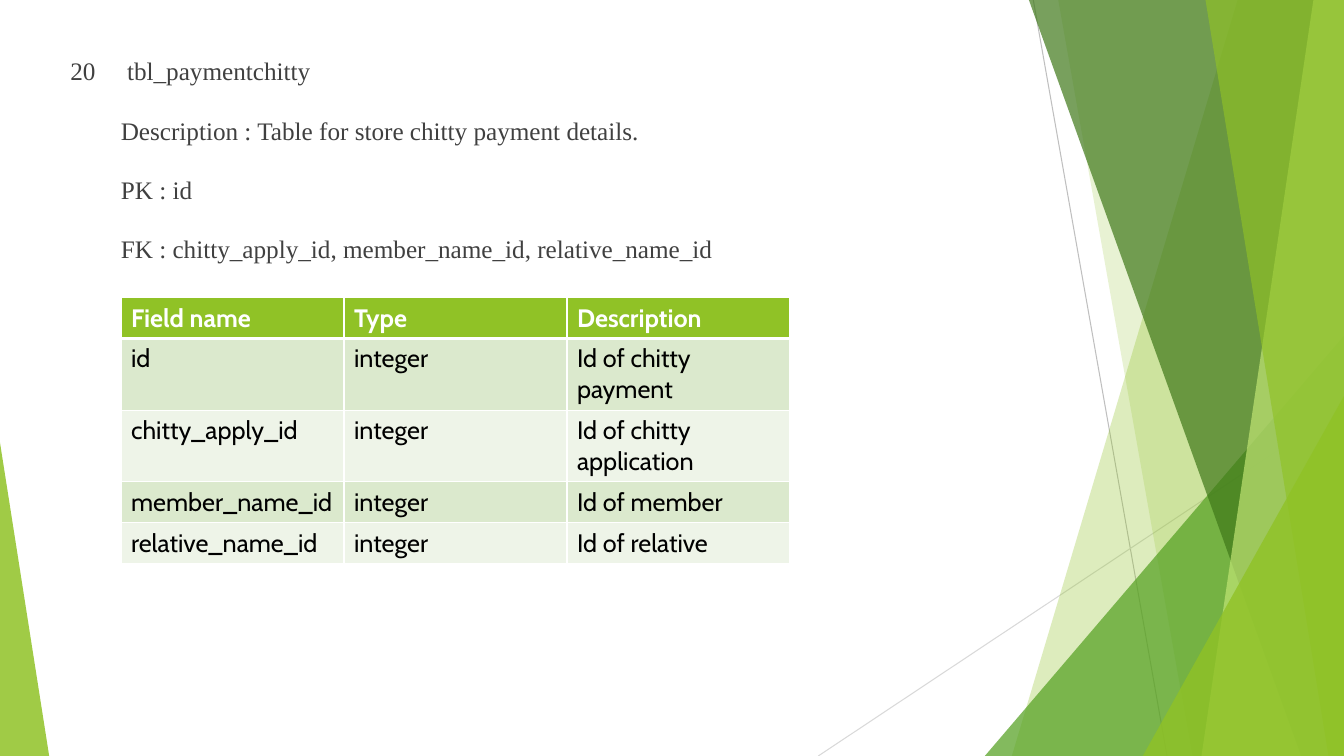
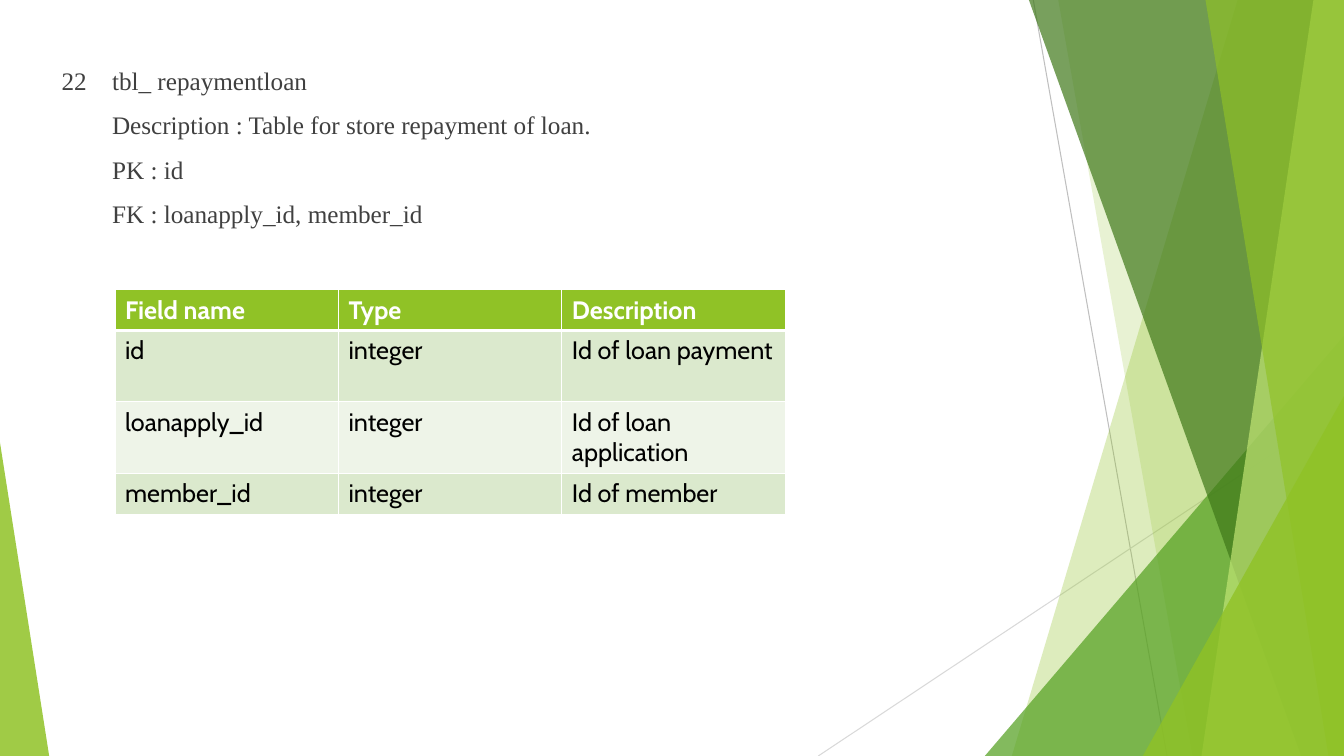
from dataclasses import dataclass

from lxml.etree import SubElement
from pptx import Presentation
from pptx.dml.color import RGBColor
from pptx.enum.shapes import MSO_CONNECTOR, MSO_SHAPE
from pptx.enum.text import MSO_AUTO_SIZE
from pptx.oxml.ns import qn
from pptx.util import Cm, Pt

WHITE = RGBColor(0xFF, 0xFF, 0xFF)
BLACK = RGBColor(0x00, 0x00, 0x00)
TEXT_GREY = RGBColor(0x40, 0x40, 0x40)
LINE_GREY = RGBColor(0xBF, 0xBF, 0xBF)
LIGHT_GREY = RGBColor(0xD9, 0xD9, 0xD9)
LIME = RGBColor(0x90, 0xC2, 0x26)
PALE_LIME = RGBColor(0xC0, 0xE4, 0x74)
GREEN = RGBColor(0x54, 0xA0, 0x21)
DARK_GREEN = RGBColor(0x3F, 0x78, 0x19)
ROW_FILLS = (RGBColor(0xDB, 0xE9, 0xCD), RGBColor(0xEE, 0xF4, 0xE8))

BODY_FONT, TABLE_FONT = "Times New Roman", "Cabin"
FONT_SIZE = Pt(18)
SLIDE_W, SLIDE_H = 33.87, 19.05  # all plain lengths are centimetres
TEXT_RIGHT = 25.75
INDENT = 1.27
HEADERS = ("Field name", "Type", "Description")


@dataclass(frozen=True)
class Ray:
    start: tuple[float, float]
    end: tuple[float, float]
    color: RGBColor


@dataclass(frozen=True)
class Band:
    """Area between a slanted left edge and the right side of the slide."""
    top_x: float
    bottom_x: float
    color: RGBColor
    opacity: int


@dataclass(frozen=True)
class Wedge:
    """Triangle standing on the bottom of the slide; apex 0 is left, 1 right."""
    left: float
    top: float
    width: float
    apex: float
    color: RGBColor
    opacity: int


@dataclass(frozen=True)
class TableSpec:
    text_at: tuple[float, float]
    lines: tuple[str, ...]
    line_spacing: float
    table_at: tuple[float, float]
    col_width: float
    row_heights: tuple[float, ...]
    rows: tuple[tuple[str, str, str], ...]


RAYS = (
    Ray((26.04, 0), (29.41, SLIDE_H), LINE_GREY),
    Ray((SLIDE_W, 10.24), (20.62, SLIDE_H), LIGHT_GREY),
)
FACETS = (
    Band(31.19, 25.5, LIME, 30),
    Band(26.67, 30.05, LIME, 20),
    Wedge(24.82, 8.46, 9.05, 1, GREEN, 72),
    Band(25.93, 32.79, DARK_GREEN, 70),
    Band(33.1, 30.28, PALE_LIME, 70),
    Band(30.38, 33.48, LIME, 65),
    Wedge(28.8, 9.98, 5.07, 1, LIME, 80),
    Wedge(0, 11.15, 1.24, 0, LIME, 85),
)
TABLES = (
    TableSpec(
        (1.52, 1.27),
        ("20\t tbl_paymentchitty",
         "Description : Table for store chitty payment details.",
         "PK : id",
         "FK : chitty_apply_id, member_name_id, relative_name_id"),
        1.5, (3.05, 7.5), 5.62, (1, 1.76, 1.76, 1, 1),
        (("id", "integer", "Id of chitty payment"),
         ("chitty_apply_id", "integer", "Id of chitty application"),
         ("member_name_id", "integer", "Id of member"),
         ("relative_name_id", "integer", "Id of relative")),
    ),
    TableSpec(
        (1.3, 1.52),
        ("22\ttbl_ repaymentloan",
         "Description : Table for store repayment of loan.",
         "PK : id",
         "FK : loanapply_id, member_id"),
        1.0, (2.9, 7.3), 5.63, (1.03, 1.79, 1.79, 1.03),
        (("id", "integer", "Id of loan payment"),
         ("loanapply_id", "integer", "Id of loan application"),
         ("member_id", "integer", "Id of member")),
    ),
)


def add_ray(slide, ray: Ray):
    line = slide.shapes.add_connector(
        MSO_CONNECTOR.STRAIGHT, *map(Cm, ray.start + ray.end))
    line.line.color.rgb = ray.color
    line.line.width = Pt(0.75)
    SubElement(line._element.spPr, qn("a:effectLst"))
    return line


def add_facet(slide, facet: Band | Wedge):
    if isinstance(facet, Band):
        builder = slide.shapes.build_freeform(Cm(facet.top_x), 0)
        corners = ((SLIDE_W, 0), (SLIDE_W, SLIDE_H), (facet.bottom_x, SLIDE_H))
        builder.add_line_segments([(Cm(x), Cm(y)) for x, y in corners])
        sp = builder.convert_to_shape()
    else:
        sp = slide.shapes.add_shape(
            MSO_SHAPE.ISOSCELES_TRIANGLE, Cm(facet.left), Cm(facet.top),
            Cm(facet.width), Cm(SLIDE_H - facet.top))
        sp.adjustments[0] = facet.apex
    sp.shadow.inherit = False
    sp.line.fill.background()
    sp.fill.solid()
    sp.fill.fore_color.rgb = facet.color
    color = sp._element.xpath("./p:spPr/a:solidFill/a:srgbClr")[0]
    SubElement(color, qn("a:alpha")).set("val", str(facet.opacity * 1000))
    return sp


def decorate_layout(layout, slide) -> None:
    """Draw the backdrop on a slide, then move it to the layout all slides share."""
    shapes = [add_ray(slide, ray) for ray in RAYS]
    shapes += [add_facet(slide, facet) for facet in FACETS]
    for shape_id, sp in enumerate(shapes, start=100):
        sp._element.xpath(".//p:cNvPr")[0].set("id", str(shape_id))
        layout.shapes._spTree.append(sp._element)


def style_run(p, font_name: str, color: RGBColor, bold: bool = False) -> None:
    for r in p.runs:
        r.font.name = font_name
        r.font.size = FONT_SIZE
        r.font.color.rgb = color
        r.font.bold = bold


def fill_description(slide, spec: TableSpec) -> None:
    left, top = spec.text_at
    body = slide.placeholders[1]
    body.left, body.top = Cm(left), Cm(top)
    body.width, body.height = Cm(TEXT_RIGHT - left), Cm(spec.table_at[1] - top)
    tf = body.text_frame
    tf.auto_size = MSO_AUTO_SIZE.NONE
    tf.text = "\n".join(spec.lines)
    for i, p in enumerate(tf.paragraphs):
        p_pr = p._p.get_or_add_pPr()
        p_pr.set("marL", str(Cm(INDENT)))
        p_pr.set("indent", str(0 if i else -Cm(INDENT)))
        SubElement(p_pr, qn("a:buNone"))
        p.space_before = Pt(10 if i else 0)
        p.line_spacing = spec.line_spacing if i else 1.0
        style_run(p, BODY_FONT, TEXT_GREY)


def set_borders(cell, top: float, bottom: float) -> None:
    tc_pr = cell._tc.get_or_add_tcPr()
    for side, width in (("L", 1), ("R", 1), ("T", top), ("B", bottom)):
        ln = SubElement(tc_pr, qn(f"a:ln{side}"), w=str(Pt(width)))
        fill = SubElement(ln, qn("a:solidFill"))
        SubElement(fill, qn("a:srgbClr"), val=str(WHITE))


def add_field_table(slide, spec: TableSpec) -> None:
    rows = (HEADERS, *spec.rows)
    left, top = spec.table_at
    table = slide.shapes.add_table(
        len(rows), len(HEADERS), Cm(left), Cm(top),
        Cm(spec.col_width * len(HEADERS)), Cm(sum(spec.row_heights))).table
    table.horz_banding = False
    for col in table.columns:
        col.width = Cm(spec.col_width)
    for i, (texts, height) in enumerate(zip(rows, spec.row_heights)):
        header = i == 0
        table.rows[i].height = Cm(height)
        for j, text in enumerate(texts):
            cell = table.cell(i, j)
            set_borders(cell, top=3 if i == 1 else 1, bottom=3 if header else 1)
            cell.fill.solid()
            cell.fill.fore_color.rgb = LIME if header else ROW_FILLS[(i - 1) % 2]
            cell.text_frame.text = text
            style_run(cell.text_frame.paragraphs[0], TABLE_FONT,
                      WHITE if header else BLACK, header)


def main() -> None:
    prs = Presentation()
    prs.slide_width, prs.slide_height = Cm(SLIDE_W), Cm(SLIDE_H)
    layout = prs.slide_layouts.get_by_name("Title and Content")
    for i, spec in enumerate(TABLES):
        slide = prs.slides.add_slide(layout)
        title = slide.shapes.title._element
        title.getparent().remove(title)
        if i == 0:
            decorate_layout(layout, slide)
        fill_description(slide, spec)
        add_field_table(slide, spec)
    prs.save("out.pptx")


if __name__ == "__main__":
    main()
